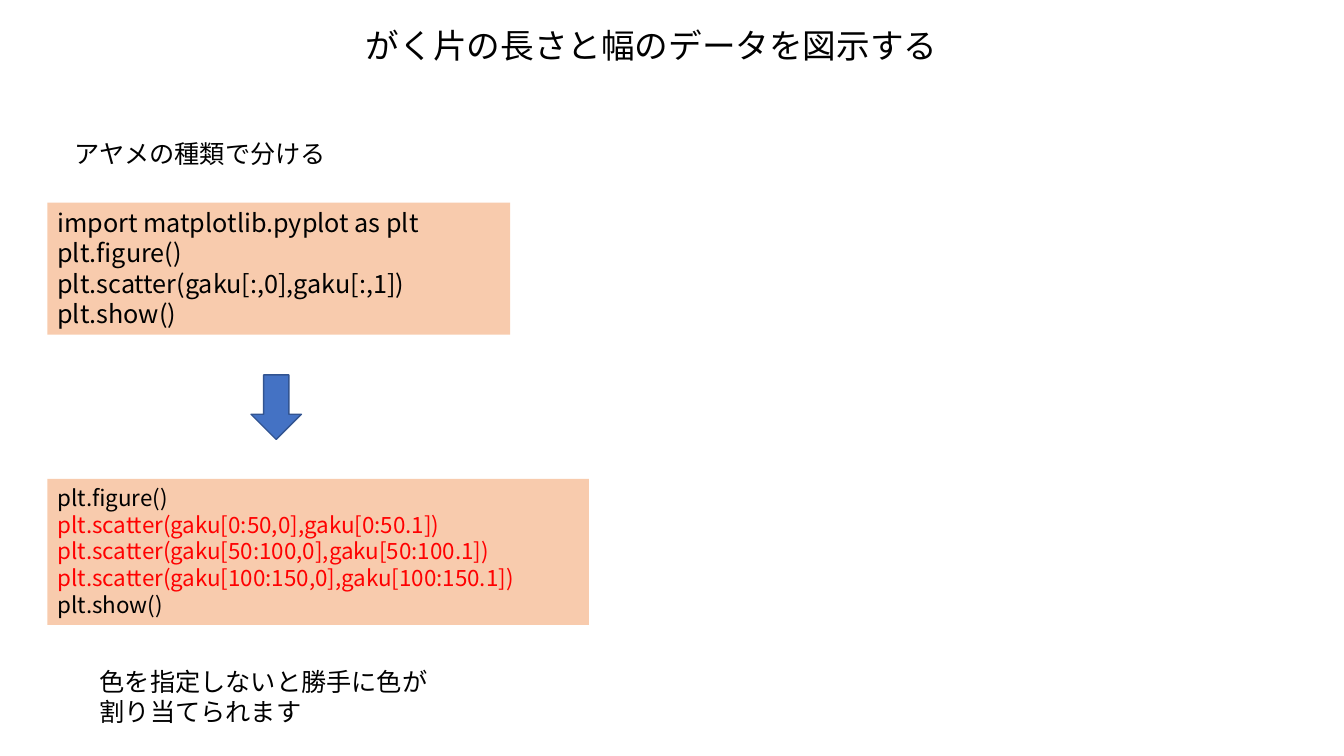
from dataclasses import dataclass

from lxml.etree import SubElement
from pptx import Presentation
from pptx.dml.color import RGBColor
from pptx.enum.shapes import MSO_SHAPE
from pptx.enum.text import MSO_ANCHOR, MSO_AUTO_SIZE, PP_ALIGN
from pptx.oxml.ns import qn
from pptx.util import Inches, Pt


@dataclass(frozen=True)
class Theme:
    font: str = "Noto Sans CJK JP"
    ink: str = "000000"
    highlight: str = "FF0000"
    panel: str = "F8CBAD"
    arrow: str = "4472C4"
    arrow_edge: str = "325491"
    title: int = 24
    body: int = 18
    code: int = 16
    leading: float = 1.2


class SlideBuilder:
    def __init__(self, page, theme):
        self.page = page
        self.theme = theme

    def set_text(self, shape, lines, size, highlighted=(), **format_values):
        frame = shape.text_frame
        settings = {
            "word_wrap": True,
            "auto_size": MSO_AUTO_SIZE.NONE,
            "vertical_anchor": MSO_ANCHOR.TOP,
            **format_values,
        }
        for name, value in settings.items():
            setattr(frame, name, value)
        for index, line in enumerate(lines):
            para = frame.add_paragraph() if index else frame.paragraphs[0]
            para.alignment = PP_ALIGN.LEFT
            para.line_spacing = Pt(round(size * self.theme.leading, 1))
            span = para.add_run()
            span.text = line
            colour = self.theme.highlight if index in highlighted else self.theme.ink
            span.font.size = Pt(size)
            span.font.name = self.theme.font
            span.font.color.rgb = RGBColor.from_string(colour)
            east_asian = SubElement(span.font._element, qn("a:ea"))
            east_asian.set("typeface", self.theme.font)

    def title(self, text, left, top, width, height):
        title = self.page.shapes.title
        place = {"left": left, "top": top, "width": width, "height": height}
        for name, value in place.items():
            setattr(title, name, Inches(value))
        margins = {f"margin_{side}": Inches(0.03) for side in ("left", "top", "right", "bottom")}
        self.set_text(title, [text], self.theme.title, word_wrap=False,
                      vertical_anchor=MSO_ANCHOR.MIDDLE, **margins)

    def note(self, lines, *place):
        box = self.page.shapes.add_textbox(*map(Inches, place))
        self.set_text(box, lines, self.theme.body)

    def shape(self, kind, fill, *place):
        shape = self.page.shapes.add_shape(kind, *map(Inches, place))
        shape.shadow.inherit = False
        shape.fill.solid()
        shape.fill.fore_color.rgb = RGBColor.from_string(fill)
        return shape

    def code(self, lines, size, *place, highlighted=()):
        panel = self.shape(MSO_SHAPE.RECTANGLE, self.theme.panel, *place)
        panel.line.fill.background()
        self.set_text(panel, lines, size, highlighted)

    def down_arrow(self, *place):
        arrow = self.shape(MSO_SHAPE.DOWN_ARROW, self.theme.arrow, *place)
        arrow.line.color.rgb = RGBColor.from_string(self.theme.arrow_edge)
        arrow.line.width = Pt(1)


def main():
    deck = Presentation()
    deck.slide_width, deck.slide_height = Inches(13.33), Inches(7.5)
    theme = Theme()
    builder = SlideBuilder(deck.slides.add_slide(deck.slide_layouts[5]), theme)

    builder.title("がく片の長さと幅のデータを図示する", 3.6, 0.22, 5.78, 0.46)
    builder.note(["アヤメの種類で分ける"], 0.64, 1.32, 3.69, 0.4)
    builder.code(
        ["import matplotlib.pyplot as plt", "plt.figure()",
         "plt.scatter(gaku[:,0],gaku[:,1])", "plt.show()"],
        theme.body, 0.47, 2.01, 4.59, 1.31,
    )
    builder.down_arrow(2.49, 3.72, 0.5, 0.64)
    species_ranges = [(0, 50), (50, 100), (100, 150)]
    scatters = [f"plt.scatter(gaku[{start}:{end},0],gaku[{start}:{end}.1])"
                for start, end in species_ranges]
    builder.code(
        ["plt.figure()", *scatters, "plt.show()"],
        theme.code, 0.47, 4.75, 5.37, 1.45, highlighted=(1, 2, 3),
    )
    builder.note(["色を指定しないと勝手に色が", "割り当てられます"], 0.89, 6.56, 3.69, 0.71)

    deck.save("out.pptx")


if __name__ == "__main__":
    main()
